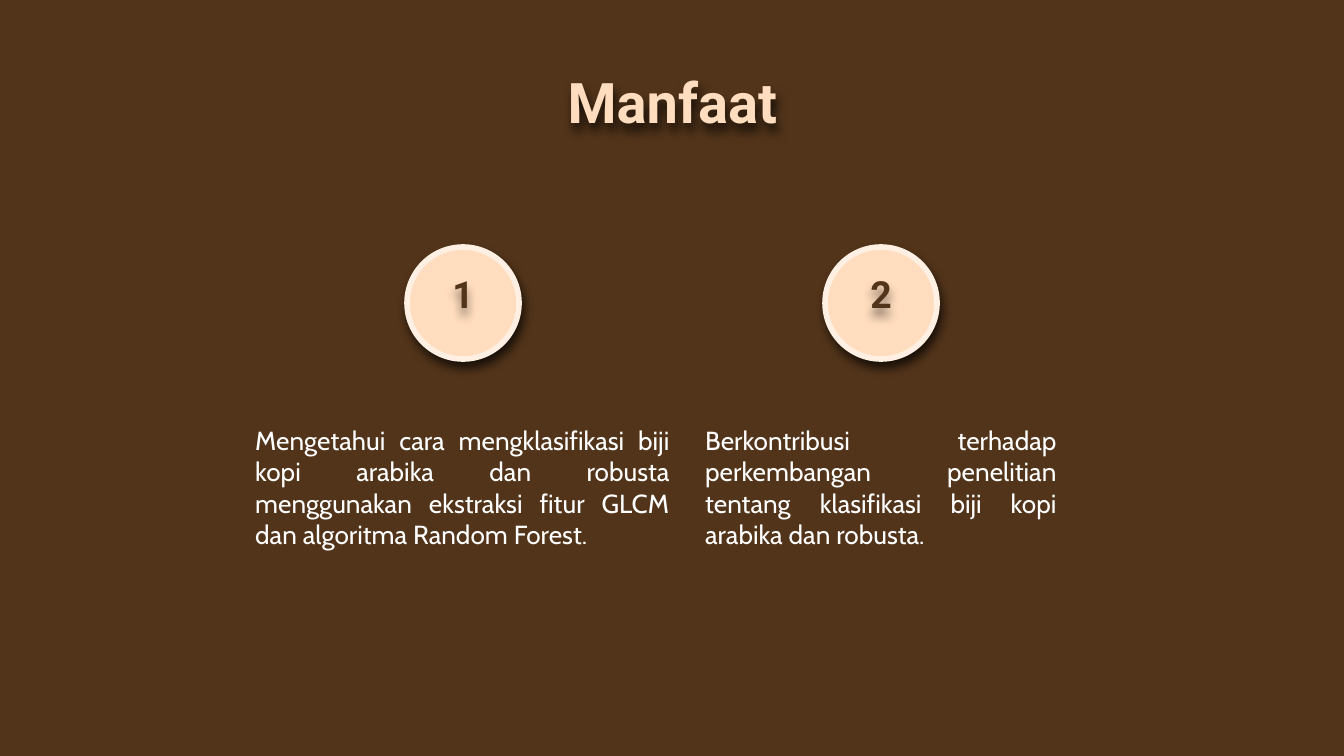
import pptx
import pptx.util
import pptx.dml.color
import pptx.enum.shapes
import pptx.enum.text
import pptx.oxml
import pptx.oxml.ns

PX = 914400 / 134.4
ALIGN = pptx.enum.text.PP_ALIGN
RGB = pptx.dml.color.RGBColor.from_string
THEME = {
    "brown": RGB("52341A"), "peach": RGB("FFDDBE"), "cream": RGB("FFF0E3"),
    "white": RGB("FFFFFF"), "heading": "Roboto", "body": "Cabin",
    "title_pt": 30, "number_pt": 20, "body_pt": 14,
}


def cast_shadow(s, angle, opacity):
    """Give a shape a soft black outer shadow; angle in degrees, opacity in percent."""
    s._element.spPr.append(pptx.oxml.parse_xml(
        f'<a:effectLst {pptx.oxml.ns.nsdecls("a")}>'
        f'<a:outerShdw blurRad="{pptx.util.Pt(5.6)}" dist="{pptx.util.Pt(3.8)}" '
        f'dir="{angle * 60000}" algn="bl" rotWithShape="0">'
        f'<a:srgbClr val="000000"><a:alpha val="{opacity * 1000}"/></a:srgbClr>'
        '</a:outerShdw></a:effectLst>'))


def add_text(box, text, font, size, color, align, bold=False):
    s = slide.shapes.add_textbox(*(round(v * PX) for v in box))
    tf = s.text_frame
    tf.word_wrap = True
    tf.vertical_anchor = pptx.enum.text.MSO_ANCHOR.TOP
    tf.margin_left = tf.margin_right = pptx.util.Inches(0.1)
    tf.margin_top = tf.margin_bottom = pptx.util.Inches(0.1)
    p = tf.paragraphs[0]
    p.alignment = align
    r = p.add_run()
    r.text = text
    r.font.name = font
    r.font.size = pptx.util.Pt(size)
    r.font.bold = bold
    r.font.color.rgb = color
    return s


prs = pptx.Presentation()
prs.slide_width, prs.slide_height = round(1344 * PX), round(756 * PX)
slide = prs.slides.add_slide(prs.slide_layouts[6])
slide.background.fill.solid()
slide.background.fill.fore_color.rgb = THEME["brown"]

title = add_text((106, 54, 1133, 81), "Manfaat", THEME["heading"],
                 THEME["title_pt"], THEME["peach"], ALIGN.CENTER, bold=True)
cast_shadow(title, 70, 70)

# Number, circle left, text left, text width, text
benefits = [
    ("1", 407, 242, 441, "Mengetahui cara mengklasifikasi biji kopi arabika dan robusta "
     "menggunakan ekstraksi fitur GLCM dan algoritma Random Forest."),
    ("2", 825, 692, 378, "Berkontribusi terhadap perkembangan penelitian tentang "
     "klasifikasi biji kopi arabika dan robusta."),
]
for number, circle_x, text_x, text_w, text in benefits:
    circle = slide.shapes.add_shape(
        pptx.enum.shapes.MSO_SHAPE.ROUNDED_RECTANGLE,
        *(round(v * PX) for v in (circle_x, 247, 112, 112)))
    circle.adjustments[0] = 0.5
    circle.fill.solid()
    circle.fill.fore_color.rgb = THEME["peach"]
    circle.line.color.rgb = THEME["cream"]
    circle.line.width = pptx.util.Pt(3)
    cast_shadow(circle, 70, 70)

    label = add_text((circle_x + 2, 258, 108, 67), number, THEME["heading"],
                     THEME["number_pt"], THEME["brown"], ALIGN.CENTER, bold=True)
    cast_shadow(label, 90, 50)
    add_text((text_x, 411, text_w, 134), text, THEME["body"],
             THEME["body_pt"], THEME["white"], ALIGN.JUSTIFY)

prs.save("out.pptx")
